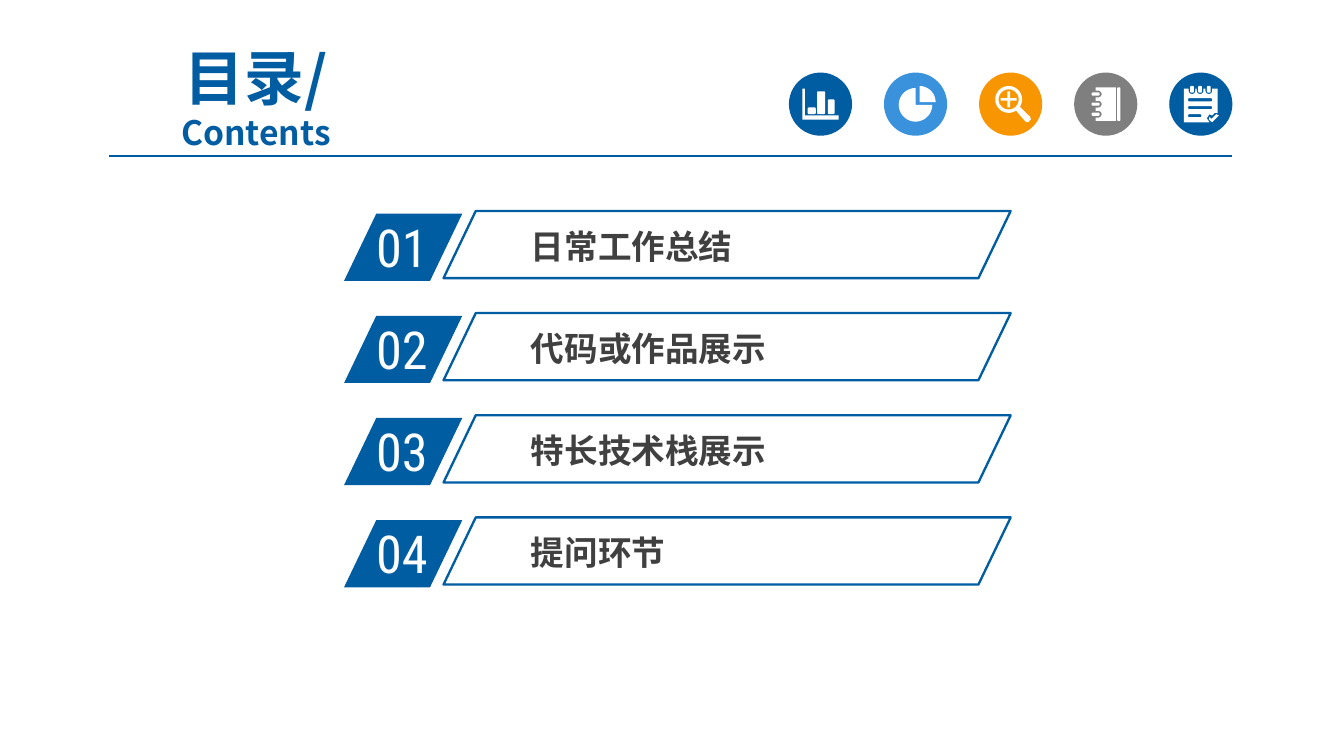
import math

from lxml import etree
from pptx import Presentation
from pptx.dml.color import RGBColor
from pptx.enum import shapes, text
from pptx.oxml.ns import qn
from pptx.util import Inches, Pt

BLUE, SKY, ORANGE, GREY = "005DA2", "3992DB", "F79600", "7F7F7F"
WHITE, DARK, RULE = "FFFFFF", "404040", "005B9E"
CJK, CONDENSED = "Noto Sans CJK SC", "Roboto Condensed"

TITLE = [("目录/", 32, 6.4), ("Contents", 18, 0)]
TOPICS = ["日常工作总结", "代码或作品展示", "特长技术栈展示", "提问环节"]

SLIDE_WIDTH = 10
SLIDE_HEIGHT = SLIDE_WIDTH * 9 / 16
ROW_TOP, ROW_PITCH, ROW_HEIGHT = 1.59, 0.76, 0.5
BADGE_LEFT, BADGE_TOP, BADGE_SIZE = 5.87, 0.54, 0.47
LAST_BADGE_LEFT = 8.7


# Icon contours are in hundredths of an inch from the badge's top left corner.
def arc(x, y, radius, start, end):
    """Points on a circle; angles in degrees, clockwise from the right."""
    steps = max(6, abs(end - start) // 10)
    angles = [math.radians(start + (end - start) * i / steps) for i in range(steps + 1)]
    return [(x + radius * math.cos(a), y + radius * math.sin(a)) for a in angles]


def bar(x, y, width, height, radius=1):
    """Rectangle with round corners."""
    right, bottom = x + width - radius, y + height - radius
    return (arc(x + radius, y + radius, radius, 180, 270)
            + arc(right, y + radius, radius, 270, 360)
            + arc(right, bottom, radius, 0, 90)
            + arc(x + radius, bottom, radius, 90, 180))


def bar_chart_icon():
    axes = [(10, 12), (12, 12), (12, 32), (37, 32), (37, 35), (10, 35)]
    return [axes, bar(14, 26, 6, 5), bar(21, 14, 6, 17), bar(29, 20, 5, 11)]


def pie_icon():
    return [[(26.5, 22)] + arc(26.5, 22, 12, 270, 360),
            [(23.5, 24)] + arc(23.5, 24, 12.5, 0, 270)]


def magnifier_icon():
    x, y, reach, half = 22, 20, 6, 1
    quarter = [(half, -reach), (half, -half), (reach, -half)]
    plus = []
    for _ in range(4):
        plus += [(x + dx, y + dy) for dx, dy in quarter]
        quarter = [(-dy, dx) for dx, dy in quarter]
    handle = [(30.3, 25.5), (38, 33), (38.5, 35), (36.5, 37), (34.5, 36.5), (27.5, 28.3)]
    return [arc(x, y, 10, 0, 360), arc(x, y, 7.5, 0, 360), plus, handle]


def notebook_icon():
    rings = [16, 23.5, 31]
    cover = [(31, 11), (16, 11)]
    for y in rings:
        cover += [(16, y - 2.5)] + arc(18, y, 2.5, -90, 90) + [(16, y + 2.5)]
    cover += [(16, 36), (31, 36)]
    return [cover, bar(32, 11, 2.5, 25)] + [bar(13, y - 1.2, 6, 2.4) for y in rings]


def notepad_icon():
    rings = [17, 23, 29.5]
    page = [(11, 12)]
    for x in rings:
        page += [(x - 2.5, 12)] + arc(x, 13.5, 2.5, 180, 0) + [(x + 2.5, 12)]
    page += [(36, 12), (36, 30), (34, 30), (32, 32), (30, 31), (28, 34), (30, 37), (11, 37)]
    check = [(30, 33), (31.5, 34.5), (35, 31), (37, 32), (32, 37), (29.5, 35)]
    lines = [bar(14, 19, 18, 2.5), bar(14, 25, 18, 2.2), bar(14, 31, 10, 2.2)]
    return [page, check] + lines + [bar(x - 1.4, 10, 2.8, 5) for x in rings]


BADGES = [(BLUE, bar_chart_icon()), (SKY, pie_icon()), (ORANGE, magnifier_icon()),
          (GREY, notebook_icon()), (BLUE, notepad_icon())]


def rgb(color):
    return RGBColor.from_string(color)


def box(left, top, width, height):
    return [Inches(value) for value in (left, top, width, height)]


def paint(shape, fill=None, line=None, weight=1.25):
    shape.shadow.inherit = False
    if fill:
        shape.fill.solid()
        shape.fill.fore_color.rgb = rgb(fill)
    else:
        shape.fill.background()
    if line:
        shape.line.color.rgb = rgb(line)
        shape.line.width = Pt(weight)
    else:
        shape.line.fill.background()


def write(paragraph, words, size, font, color, bold=False):
    run = paragraph.add_run()
    run.text = words
    run.font.size, run.font.name, run.font.bold = Pt(size), font, bold
    run.font.color.rgb = rgb(color)
    etree.SubElement(run._r.get_or_add_rPr(), qn("a:ea"), typeface=font)


def add_label(slide, place, words, inset=(0.1, 0.05), **style):
    frame = slide.shapes.add_textbox(*box(*place)).text_frame
    frame.word_wrap = True
    frame.margin_left = frame.margin_right = Inches(inset[0])
    frame.margin_top = frame.margin_bottom = Inches(inset[1])
    write(frame.paragraphs[0], words, **style)


def add_slanted(slide, place, **look):
    shape = slide.shapes.add_shape(shapes.MSO_SHAPE.PARALLELOGRAM, *box(*place))
    shape.adjustments[0] = 0.48
    paint(shape, **look)


def add_title(slide):
    title = slide.shapes.title
    title.left, title.top, title.width, title.height = box(0.67, 0.47, 2.47, 0.54)
    frame = title.text_frame
    frame.auto_size = text.MSO_AUTO_SIZE.NONE
    frame.vertical_anchor = text.MSO_ANCHOR.MIDDLE
    for i, (words, size, before) in enumerate(TITLE):
        paragraph = frame.add_paragraph() if i else frame.paragraphs[0]
        paragraph.alignment = text.PP_ALIGN.CENTER
        paragraph.line_spacing = 0.97
        paragraph.space_before = Pt(before)
        write(paragraph, words, size, CJK, BLUE, bold=True)


def add_rule(slide):
    rule = slide.shapes.add_connector(shapes.MSO_CONNECTOR.STRAIGHT,
                                      *box(0.81, 1.16, 9.17, 1.16))
    rule.line.color.rgb = rgb(RULE)
    rule.line.width = Pt(0.75)
    etree.SubElement(rule._element.spPr, qn("a:effectLst"))


def add_topic(slide, index, topic):
    top = ROW_TOP + index * ROW_PITCH
    add_slanted(slide, (2.56, top, 0.88, ROW_HEIGHT), fill=BLUE)
    add_label(slide, (2.7, top - 0.04, 0.84, 0.49), f"{index + 1:02}",
              size=28, font=CONDENSED, color=WHITE)
    add_label(slide, (3.88, top + 0.05, 3.09, 0.38), topic, inset=(0.07, 0.04),
              size=18, font=CJK, color=DARK, bold=True)
    add_slanted(slide, (3.3, top - 0.02, 4.22, ROW_HEIGHT), line=BLUE)


def add_badge(slide, left, color, contours):
    disc = slide.shapes.add_shape(shapes.MSO_SHAPE.OVAL,
                                  *box(left, BADGE_TOP, BADGE_SIZE, BADGE_SIZE))
    paint(disc, fill=color)
    placed = [[(Inches(left + x / 100), Inches(BADGE_TOP + y / 100)) for x, y in contour]
              for contour in contours]
    builder = slide.shapes.build_freeform(*placed[0][0])
    for i, (start, *rest) in enumerate(placed):
        if i:
            builder.move_to(*start)
        builder.add_line_segments(rest, close=True)
    paint(builder.convert_to_shape(), fill=WHITE)


def main():
    deck = Presentation()
    deck.slide_width, deck.slide_height = Inches(SLIDE_WIDTH), Inches(SLIDE_HEIGHT)
    slide = deck.slides.add_slide(deck.slide_layouts[5])
    add_title(slide)
    add_rule(slide)
    for index, topic in enumerate(TOPICS):
        add_topic(slide, index, topic)
    pitch = (LAST_BADGE_LEFT - BADGE_LEFT) / (len(BADGES) - 1)
    for index, (color, contours) in enumerate(BADGES):
        add_badge(slide, BADGE_LEFT + index * pitch, color, contours)
    deck.save("out.pptx")


if __name__ == "__main__":
    main()
